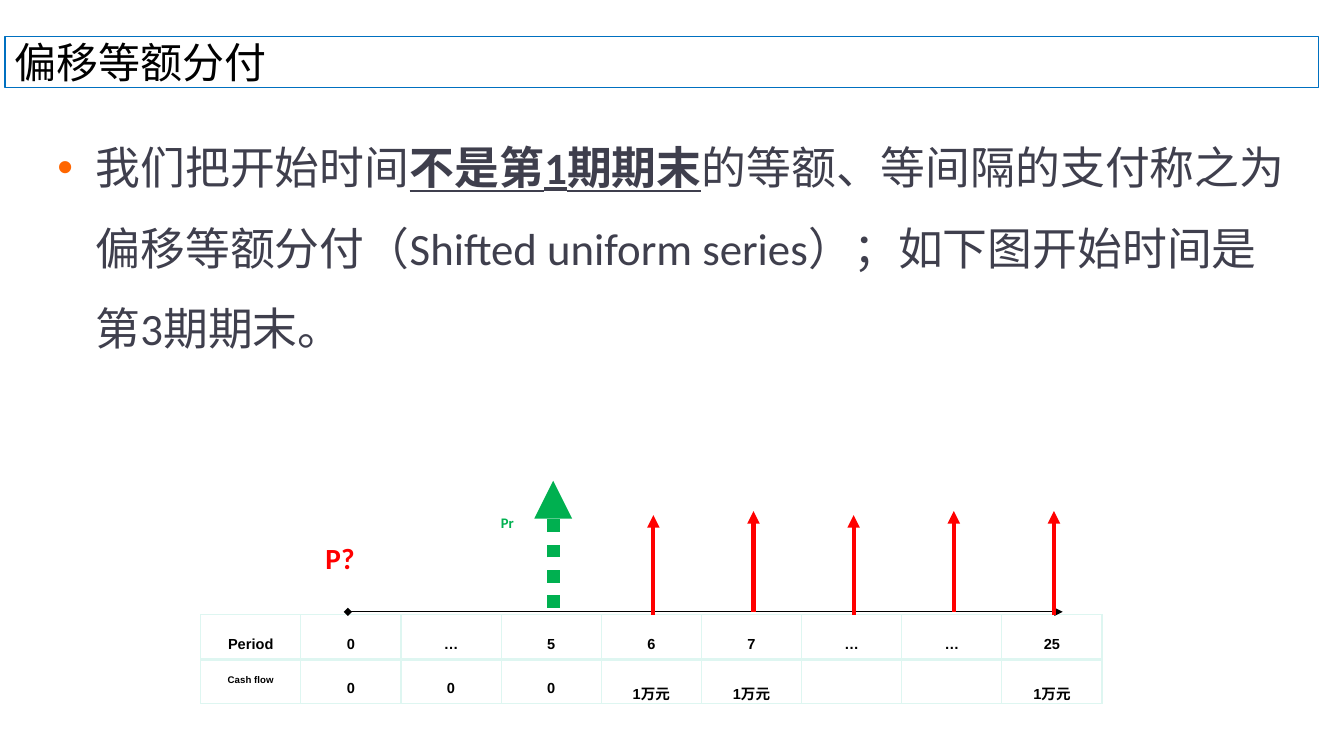
"""Build the slide on shifted uniform payment series."""
import dataclasses

import lxml.etree
import pptx
import pptx.dml.color
import pptx.enum.dml
import pptx.enum.shapes
import pptx.enum.text
import pptx.oxml.ns
import pptx.util

qn = pptx.oxml.ns.qn
Inches = pptx.util.Inches
Pt = pptx.util.Pt


@dataclasses.dataclass(frozen=True)
class Theme:
    """Colours, fonts and type sizes of the slide."""
    black: str = "000000"
    frame: str = "0070C0"
    body: str = "3F3F4D"
    bullet: str = "FF6600"
    grid: str = "DEF6F1"
    payment: str = "FF0000"
    present: str = "00B050"
    sans: str = "Arial"
    text: str = "Calibri"
    title_size: int = 30
    body_size: int = 32
    cell_size: int = 18
    label_size: int = 12
    unknown_size: int = 36


THEME = Theme()
ROWS = (
    ("Period", "0", "…", "5", "6", "7", "…", "…", "25"),
    ("Cash flow", "0", "0", "0", "1万元", "1万元", "", "", "1万元"),
)
BODY = (
    ("我们把开始时间", False),
    ("不是第1期期末", True),
    ("的等额、等间隔的支付称之为偏移等额分付（Shifted uniform series）；"
     "如下图开始时间是第3期期末。", False),
)


def rgb(color):
    """Return a colour object for a hex string."""
    return pptx.dml.color.RGBColor.from_string(color)


def child(parent, tag, **attrs):
    """Append a DrawingML element and return it."""
    return lxml.etree.SubElement(parent, qn(tag), attrs)


def add_run(p, text, size, font, color, bold=False, underline=False, sub=False):
    """Add one styled run to a paragraph."""
    r = p.add_run()
    r.text = text
    r.font.size = Pt(size)
    r.font.name = font
    r.font.color.rgb = rgb(color)
    r.font.bold = bold
    r.font.underline = underline
    if sub:
        r.font._element.set("baseline", "-25000")


def add_box(s, box):
    """Add a wrapping text box and return its text frame."""
    tf = s.shapes.add_textbox(*map(Inches, box)).text_frame
    tf.word_wrap = True
    return tf


def add_line(s, start, end, color, width, head=None, dash=None):
    """Add a line that ends in a triangle."""
    sp = s.shapes.add_connector(
        pptx.enum.shapes.MSO_CONNECTOR.STRAIGHT, *map(Inches, start + end))
    sp.line.color.rgb = rgb(color)
    sp.line.width = Pt(width)
    if dash:
        sp.line.dash_style = dash
    ln = sp.line._get_or_add_ln()
    if head:
        child(ln, "a:headEnd", type=head)
    child(ln, "a:tailEnd", type="triangle")
    child(sp._element.spPr, "a:effectLst")


def add_title(s, box):
    """Place the framed title."""
    sp = s.shapes.add_shape(
        pptx.enum.shapes.MSO_SHAPE.RECTANGLE, *map(Inches, box))
    sp.shadow.inherit = False
    sp.fill.background()
    sp.line.color.rgb = rgb(THEME.frame)
    sp.line.width = Pt(0.75)
    tf = sp.text_frame
    tf.word_wrap = True
    tf.vertical_anchor = pptx.enum.text.MSO_ANCHOR.MIDDLE
    p = tf.paragraphs[0]
    p.alignment = pptx.enum.text.PP_ALIGN.LEFT
    add_run(p, "偏移等额分付", THEME.title_size, THEME.sans, THEME.black)


def add_body(s, box):
    """Place the bulleted definition."""
    p = add_box(s, box).paragraphs[0]
    p.line_spacing = 1.5
    p.space_before = Pt(0.2 * THEME.body_size)
    pPr = p._p.get_or_add_pPr()
    pPr.set("marL", str(Inches(0.38)))
    pPr.set("indent", str(-Inches(0.38)))
    child(child(pPr, "a:buClr"), "a:srgbClr", val=THEME.bullet)
    child(pPr, "a:buFont", typeface=THEME.sans)
    child(pPr, "a:buChar", char="•")
    for text, strong in BODY:
        add_run(p, text, THEME.body_size, THEME.text, THEME.body, strong, strong)


def set_borders(cell, widths):
    """Draw the left, right, top and bottom borders of a cell."""
    cell.fill.background()
    tcPr = cell._tc.get_or_add_tcPr()
    for i, (side, width) in enumerate(zip("LRTB", widths)):
        ln = lxml.etree.Element(qn("a:ln" + side), w=str(Pt(width)))
        child(child(ln, "a:solidFill"), "a:srgbClr", val=THEME.grid)
        tcPr.insert(i, ln)


def add_cash_table(s, box):
    """Place the table of periods and cash flows."""
    n = len(ROWS[0])
    table = s.shapes.add_table(len(ROWS), n, *map(Inches, box)).table
    for col in table.columns:
        col.width = Inches(box[2] / n)
    for row in table.rows:
        row.height = Inches(0.37)
    for i, row in enumerate(ROWS):
        for j, text in enumerate(row):
            cell = table.cell(i, j)
            set_borders(cell, (1, 1, 3, 1) if i else (1, 1, 1, 3))
            p = cell.text_frame.paragraphs[0]
            p.alignment = pptx.enum.text.PP_ALIGN.CENTER
            if text:
                size = THEME.label_size if i and not j else THEME.cell_size
                add_run(p, text, size, THEME.sans, THEME.black, True, sub=True)


def add_diagram(s, box):
    """Place the cash flow diagram over its table."""
    left, top, width, height = box
    col = width / len(ROWS[0])
    base = top + 1.33
    axis = base - 0.03
    add_cash_table(s, (left, base, width, height - 1.33))
    add_line(s, (left + 1.46, axis), (left + 8.55, axis),
             THEME.black, 0.75, head="diamond")

    def center(j):
        """Return the middle of a period column."""
        return left + (j + 0.5) * col + 0.02

    for j, foot, tip in ((4, base, 0.34), (5, axis, 0.3), (6, base, 0.34),
                         (7, axis, 0.3), (8, base, 0.3)):
        add_line(s, (center(j), foot), (center(j), top + tip), THEME.payment, 3)
    add_line(s, (center(3), axis - 0.04), (center(3), top), THEME.present, 9,
             dash=pptx.enum.dml.MSO_LINE.ROUND_DOT)
    for letters, x, y, w, h, size, color in (
            ("Pr", 2.88, 0.11, 0.54, 0.4, THEME.cell_size, THEME.present),
            ("P?", 1.14, 0.21, 1.14, 0.71, THEME.unknown_size, THEME.payment)):
        p = add_box(s, (left + x, top + y, w, h)).paragraphs[0]
        for letter in letters:
            add_run(p, letter, size, THEME.text, color, True, sub=True)


def main():
    """Build and save the presentation."""
    prs = pptx.Presentation()
    prs.slide_width = Inches(13.33)
    prs.slide_height = Inches(7.5)
    s = prs.slides.add_slide(prs.slide_layouts[6])
    add_title(s, (0.05, 0.36, 13.03, 0.51))
    add_body(s, (0.47, 1.07, 12.39, 6.14))
    add_diagram(s, (1.99, 4.77, 8.94, 2.13))
    prs.save("out.pptx")


if __name__ == "__main__":
    main()
